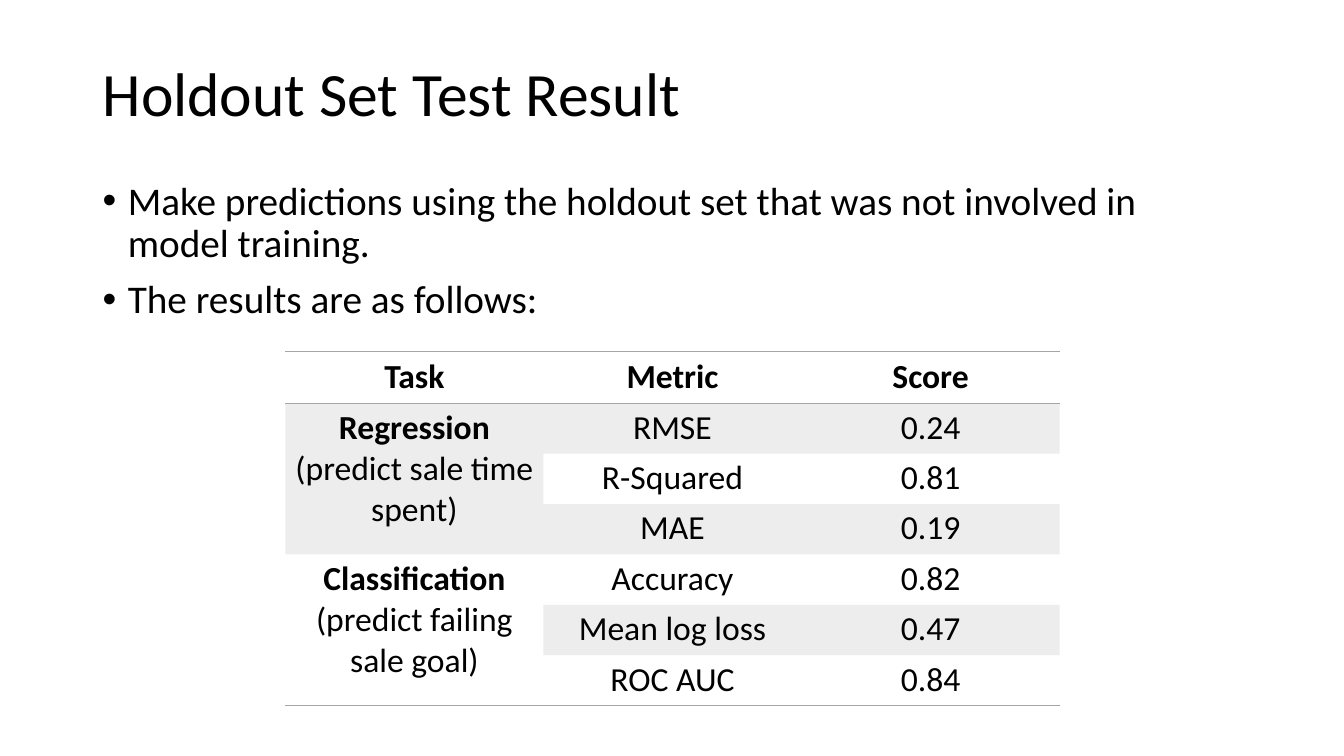
from lxml import etree
from pptx import Presentation
from pptx.dml.color import RGBColor
from pptx.enum.text import MSO_ANCHOR, PP_ALIGN
from pptx.oxml.ns import qn
from pptx.util import Inches, Pt

COLORS = {"text": "000000", "gray": "A5A5A5"}
NO_STYLE = "{2D5ABB26-0587-4C30-8999-92F81FD0307C}"
MARGIN, CONTENT_WIDTH = 0.92, 11.5
ROW_HEIGHT, COLUMN_WIDTH = 0.5, 2.56
HEADERS = ["Task", "Metric", "Score"]
TASKS = [
    ("Regression", " (predict sale time spent)",
     [("RMSE", "0.24"), ("R-Squared", "0.81"), ("MAE", "0.19")]),
    ("Classification", " (predict failing sale goal)",
     [("Accuracy", "0.82"), ("Mean log loss", "0.47"), ("ROC AUC", "0.84")]),
]
BULLETS = [
    "Make predictions using the holdout set that was not involved in model training.",
    "The results are as follows:",
]


def set_font(font, size):
    font.name = "Calibri"
    font.size = Pt(size)
    font.color.rgb = RGBColor.from_string(COLORS["text"])


def add_border(cell, tag):
    line = etree.Element(qn(tag), w=str(Pt(1)))
    fill = etree.SubElement(line, qn("a:solidFill"))
    etree.SubElement(fill, qn("a:srgbClr"), val=COLORS["gray"])
    properties = cell._tc.get_or_add_tcPr()
    position = len(properties.findall(qn("a:lnT")))
    properties.insert(position, line)


presentation = Presentation()
presentation.slide_width = Inches(13.33)
presentation.slide_height = Inches(7.5)
slide = presentation.slides.add_slide(presentation.slide_layouts[6])

title = slide.shapes.add_textbox(
    Inches(MARGIN), Inches(0.4), Inches(CONTENT_WIDTH), Inches(1.12)).text_frame
title.word_wrap = True
title.vertical_anchor = MSO_ANCHOR.MIDDLE
title.text = "Holdout Set Test Result"
title.paragraphs[0].line_spacing = 0.9
set_font(title.paragraphs[0].font, 44)

body = slide.shapes.add_textbox(
    Inches(MARGIN), Inches(1.75), Inches(CONTENT_WIDTH), Inches(5)).text_frame
body.word_wrap = True
body.text = "\n".join(BULLETS)
for index, paragraph in enumerate(body.paragraphs):
    paragraph.line_spacing = 0.9
    if index:
        paragraph.space_before = Pt(10)
    properties = paragraph._p.get_or_add_pPr()
    properties.set("marL", str(Inches(0.25)))
    properties.set("indent", str(Inches(-0.25)))
    etree.SubElement(properties, qn("a:buFont"), typeface="Arial")
    etree.SubElement(properties, qn("a:buChar"), char="•")
    set_font(paragraph.font, 28)

metrics = [metric for task in TASKS for metric in task[2]]
row_count = len(metrics) + 1
table = slide.shapes.add_table(
    row_count, len(HEADERS), Inches(2.83), Inches(3.49),
    Inches(COLUMN_WIDTH * len(HEADERS)), Inches(ROW_HEIGHT * row_count)).table
table._tbl.tblPr.find(qn("a:tableStyleId")).text = NO_STYLE
table.horz_banding = False
for column in table.columns:
    column.width = Inches(COLUMN_WIDTH)
table.rows[0].height = Inches(0.51)

for column, header in enumerate(HEADERS):
    table.cell(0, column).text = header
for row, values in enumerate(metrics, 1):
    for column, value in enumerate(values, 1):
        table.cell(row, column).text = value

first_row = 1
for name, detail, task_metrics in TASKS:
    cell = table.cell(first_row, 0)
    cell.merge(table.cell(first_row + len(task_metrics) - 1, 0))
    paragraph = cell.text_frame.paragraphs[0]
    for text, bold in ((name, True), (detail, False)):
        run = paragraph.add_run()
        run.text = text
        run.font.bold = bold
    first_row += len(task_metrics)

for row in range(row_count):
    for column in range(len(HEADERS)):
        cell = table.cell(row, column)
        paragraph = cell.text_frame.paragraphs[0]
        paragraph.alignment = PP_ALIGN.CENTER
        set_font(paragraph.font, 24)
        for run in paragraph.runs:
            set_font(run.font, 24)
        if row == 0:
            paragraph.runs[0].font.bold = True
            add_border(cell, "a:lnT")
        else:
            cell.margin_left = cell.margin_right = Inches(0.04)
            cell.margin_top = cell.margin_bottom = Inches(0.04)
        if row % 2:
            cell.fill.solid()
            cell.fill.fore_color.rgb = RGBColor.from_string(COLORS["gray"])
            color = cell._tc.tcPr.find(".//" + qn("a:srgbClr"))
            etree.SubElement(color, qn("a:alpha"), val="20000")
        else:
            cell.fill.background()
        if row in (0, row_count - 1):
            add_border(cell, "a:lnB")

for row, task in zip((1, 4), TASKS):
    if row == 4:
        add_border(table.cell(row, 0), "a:lnB")

presentation.save("out.pptx")
